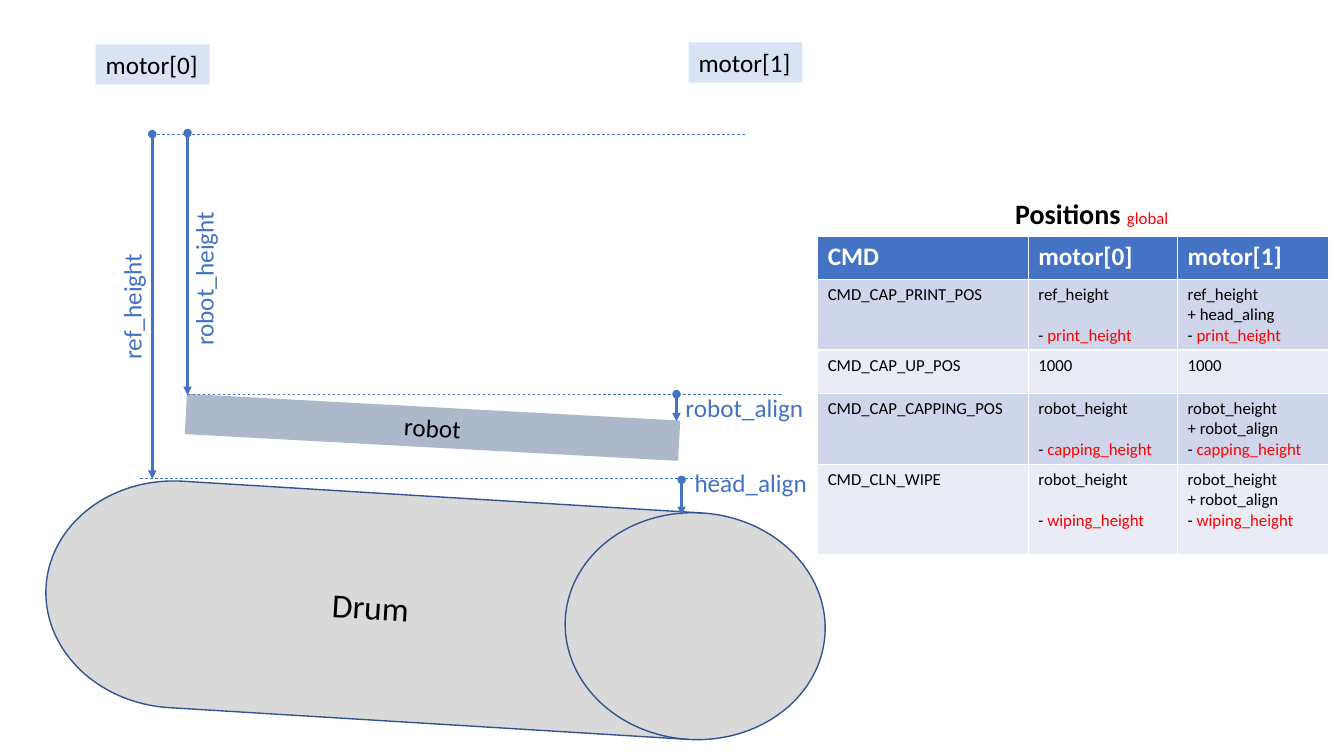
import pptx
import pptx.util
import pptx.dml.color
import pptx.enum.dml
import pptx.enum.shapes
import pptx.enum.text
from lxml import etree

Inches = pptx.util.Inches
Pt = pptx.util.Pt
A = "{http://schemas.openxmlformats.org/drawingml/2006/main}"
BLUE, BLACK, RED, WHITE = "4472C4", "000000", "FF0000", "FFFFFF"


def paint(color_format, color):
    """Give a font or line color, or a solid fill's fore color, a hex value."""
    color_format.rgb = pptx.dml.color.RGBColor.from_string(color)


def write_spans(para, *spans):
    """Fill a paragraph with spans of (text, size, color, bold)."""
    for text, size, color, bold in spans:
        span = para.add_run()
        span.text = text
        span.font.name = "Calibri"
        span.font.size = Pt(size)
        span.font.bold = bold
        paint(span.font.color, color)


deck = pptx.Presentation()
deck.slide_width = Inches(13.33)
deck.slide_height = Inches(7.5)
page = deck.slides.add_slide(deck.slide_layouts[6])
shapes = page.shapes

# Drum
drum = shapes.add_shape(
    pptx.enum.shapes.MSO_SHAPE.FLOWCHART_DIRECT_ACCESS_STORAGE,
    Inches(0.45), Inches(4.93), Inches(7.74), Inches(2.25))
drum.rotation = 3.5
drum.shadow.inherit = False
drum.fill.solid()
paint(drum.fill.fore_color, "D9D9D9")
paint(drum.line.color, "325491")
drum.line.width = Pt(1)
drum_para = drum.text_frame.paragraphs[0]
drum_para.alignment = pptx.enum.text.PP_ALIGN.CENTER
write_spans(drum_para, ("Drum", 24, BLACK, False))

# Labels: text, left, top, width, rotation, text color, fill
labels = [
    ("ref_height", 0.57, 2.73, 1.47, 270, BLUE, None),
    ("motor[0]", 0.95, 0.44, 1.13, 0, BLACK, "DAE3F3"),
    ("motor[1]", 6.83, 0.42, 1.13, 0, BLACK, "DAE3F3"),
    ("head_align", 6.79, 4.59, 1.83, 0, BLUE, None),
    ("robot", 1.84, 4.04, 4.9, 3.1, BLACK, "ADB9CA"),
    ("robot_height", 1.23, 2.54, 1.58, 270, BLUE, None),
    ("robot_align", 6.7, 3.84, 1.83, 0, BLUE, None),
]
for text, left, top, width, rotation, color, fill in labels:
    box = shapes.add_textbox(Inches(left), Inches(top), Inches(width), Inches(0.4))
    box.rotation = rotation
    box.text_frame.word_wrap = True
    box.text_frame.auto_size = pptx.enum.text.MSO_AUTO_SIZE.SHAPE_TO_FIT_TEXT
    para = box.text_frame.paragraphs[0]
    write_spans(para, (text, 18, color, False))
    if text == "robot":
        para.alignment = pptx.enum.text.PP_ALIGN.CENTER
    if fill:
        box.fill.solid()
        paint(box.fill.fore_color, fill)

# Height arrows run down, dashed reference levels run across
lines = [
    (1.51, 1.33, 1.51, 4.75),
    (6.76, 4.76, 6.76, 5.11),
    (1.39, 4.75, 7.28, 4.75),
    (1.86, 1.32, 1.86, 3.92),
    (1.86, 3.91, 7.75, 3.91),
    (1.51, 1.33, 7.4, 1.33),
    (6.71, 3.91, 6.71, 4.18),
]
for x1, y1, x2, y2 in lines:
    connector = shapes.add_connector(
        pptx.enum.shapes.MSO_CONNECTOR.STRAIGHT,
        Inches(x1), Inches(y1), Inches(x2), Inches(y2))
    paint(connector.line.color, BLUE)
    if y1 == y2:
        connector.line.width = Pt(0.5)
        connector.line.dash_style = pptx.enum.dml.MSO_LINE.DASH
    else:
        connector.line.width = Pt(2)
        outline = connector.line._get_or_add_ln()
        etree.SubElement(outline, A + "headEnd", type="oval")
        etree.SubElement(outline, A + "tailEnd", type="triangle")
    etree.SubElement(connector._element.spPr, A + "effectLst")

# Positions table
title = shapes.add_textbox(Inches(9.97), Inches(1.9), Inches(1.75), Inches(0.44))
title.text_frame.word_wrap = False
title.text_frame.auto_size = pptx.enum.text.MSO_AUTO_SIZE.SHAPE_TO_FIT_TEXT
write_spans(title.text_frame.paragraphs[0],
            ("Positions ", 20, BLACK, True), ("global", 12, RED, False))

rows = [
    (["CMD"], ["motor[0]"], ["motor[1]"]),
    (["CMD_CAP_PRINT_POS"], ["ref_height", "- print_height"],
     ["ref_height", "+ head_aling", "- print_height"]),
    (["CMD_CAP_UP_POS"], ["1000"], ["1000"]),
    (["CMD_CAP_CAPPING_POS"], ["robot_height", "- capping_height"],
     ["robot_height", "+ robot_align", "- capping_height"]),
    (["CMD_CLN_WIPE"], ["robot_height", "- wiping_height"],
     ["robot_height", "+ robot_align", "- wiping_height"]),
]
row_heights = [0.42, 0.7, 0.43, 0.7, 0.9]
column_widths = [2.09, 1.48, 1.5]
table = shapes.add_table(
    len(rows), len(column_widths), Inches(8.11), Inches(2.35),
    Inches(sum(column_widths)), Inches(sum(row_heights))).table
for column, width in zip(table.columns, column_widths):
    column.width = Inches(width)
for r, (row, height) in enumerate(zip(rows, row_heights)):
    table.rows[r].height = Inches(height)
    for c, cell_lines in enumerate(row):
        cell = table.cell(r, c)
        cell.fill.solid()
        band = "CFD5EA" if r % 2 else "E9EBF5"
        paint(cell.fill.fore_color, BLUE if r == 0 else band)
        cell.text_frame.text = "\n".join([""] * len(cell_lines))
        for para, text in zip(cell.text_frame.paragraphs, cell_lines):
            if r == 0:
                write_spans(para, (text, 18, WHITE, True))
            elif text.startswith("- "):
                write_spans(para, ("- ", 12, BLACK, False), (text[2:], 12, RED, False))
                if len(cell_lines) == 2:
                    para.space_before = Pt(14.6)
            else:
                write_spans(para, (text, 12, BLACK, False))

deck.save("out.pptx")
